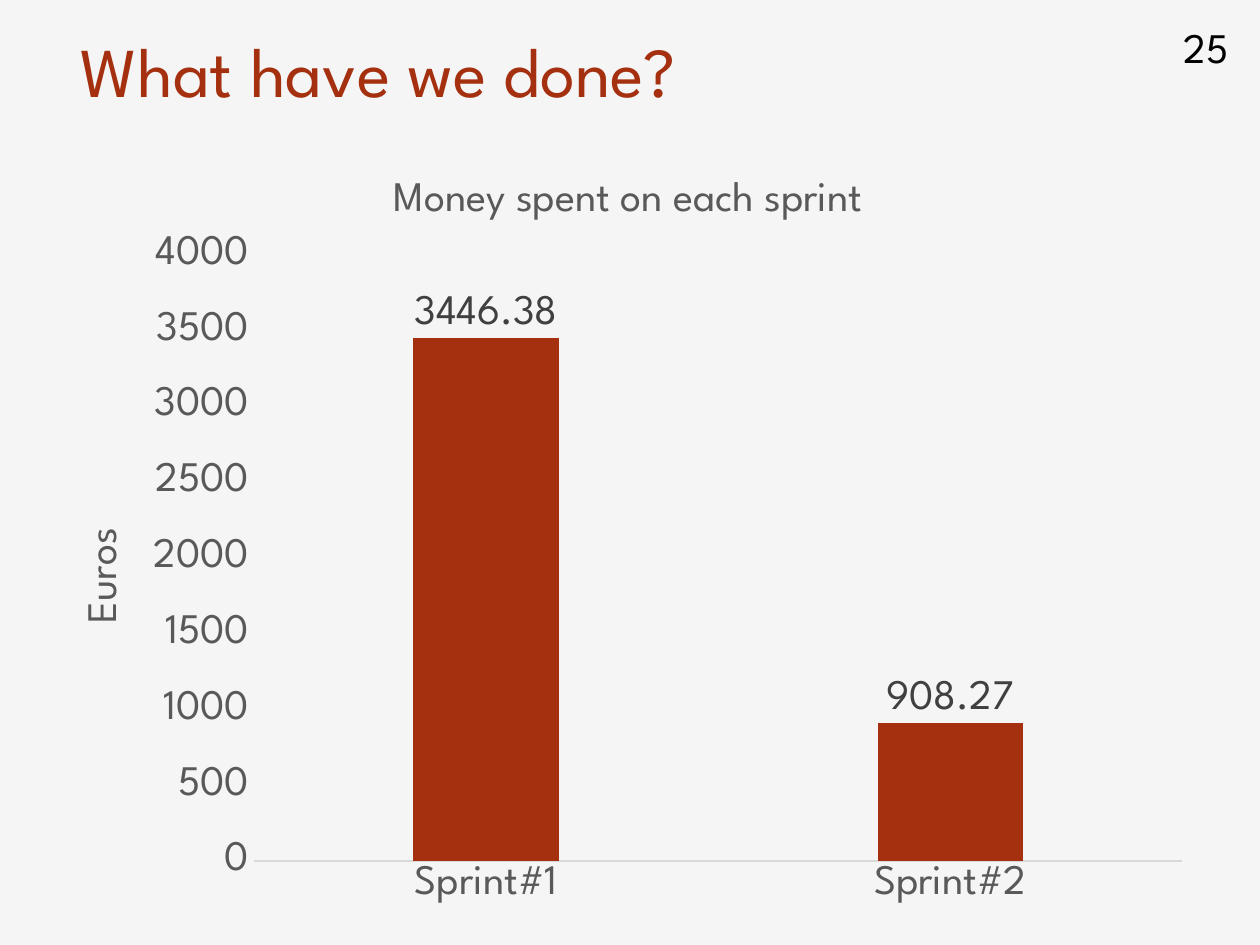
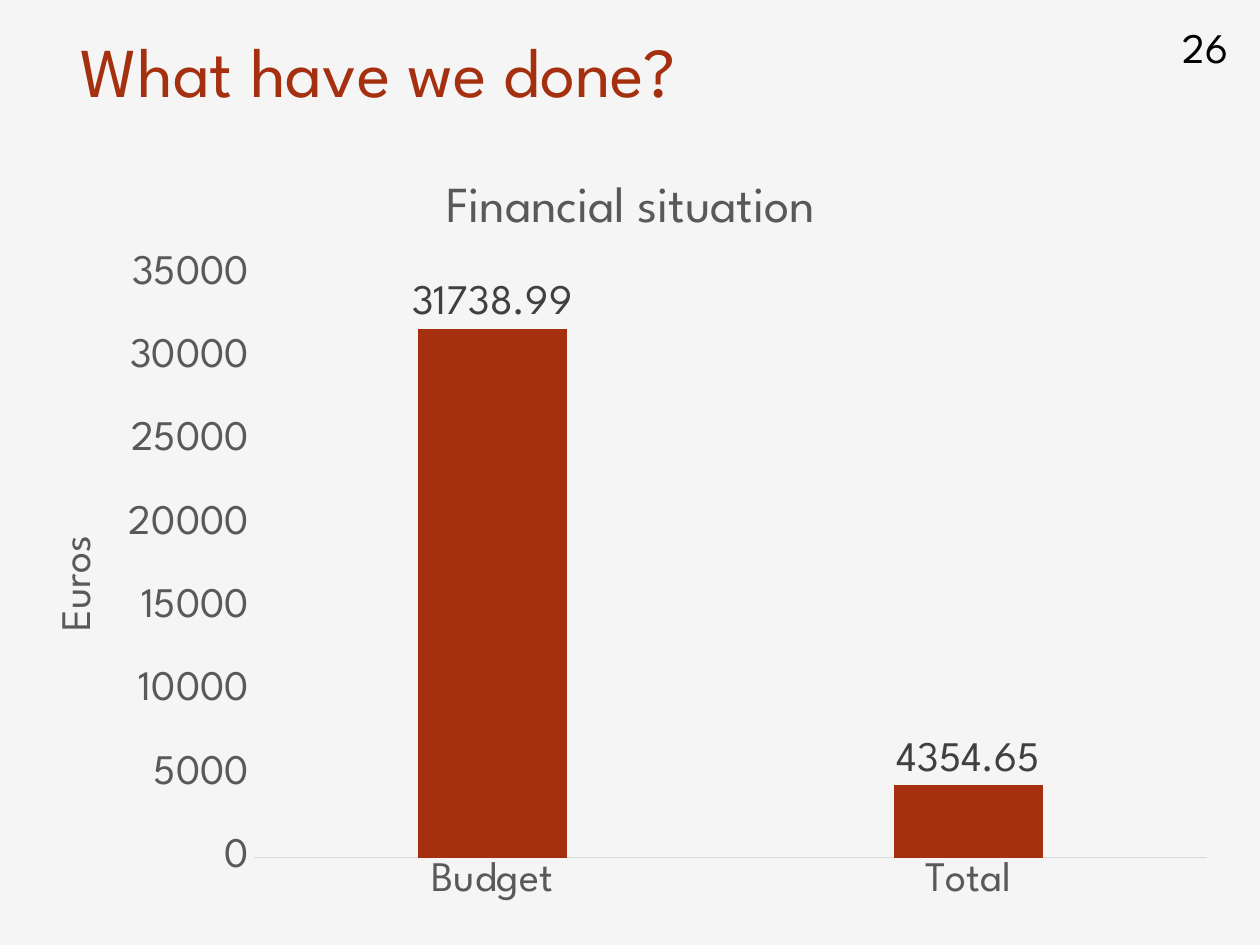
from dataclasses import dataclass

from lxml.etree import SubElement
from pptx import Presentation
from pptx.chart.chart import Chart
from pptx.chart.data import CategoryChartData
from pptx.dml.color import RGBColor
from pptx.enum.chart import XL_CHART_TYPE, XL_LABEL_POSITION, XL_TICK_MARK
from pptx.enum.text import MSO_ANCHOR, PP_ALIGN
from pptx.oxml import parse_xml
from pptx.oxml.ns import nsdecls, qn
from pptx.util import Inches, Pt

# Shared look
FONT = "League Spartan"
PAPER, RUST, BLACK = "F5F5F5", "A53010", "000000"
AXIS_GREY, LABEL_GREY, LINE_GREY = "595959", "404040", "D9D9D9"
BODY_SIZE, TITLE_SIZE = 24, 40
SLIDE_WIDTH, SLIDE_HEIGHT = Inches(10), Inches(7.5)


@dataclass(frozen=True)
class Area:
    """Left, top, width and height as percentages of the surrounding frame."""
    left: float
    top: float
    width: float = 0
    height: float = 0

    def on_slide(self) -> tuple[int, int, int, int]:
        return (int(SLIDE_WIDTH * self.left / 100), int(SLIDE_HEIGHT * self.top / 100),
                int(SLIDE_WIDTH * self.width / 100), int(SLIDE_HEIGHT * self.height / 100))


@dataclass(frozen=True)
class MoneySlide:
    number: int
    heading: str
    heading_size: float
    amounts: dict[str, float]
    axis_top: int
    axis_step: int
    frame: Area
    plot: Area
    heading_spot: Area
    axis_title_spot: Area


TITLE_AREA = Area(5.4, 2.27, 78.8, 10.27)
NUMBER_AREA = Area(88.2, 2.27, 10.3, 5.33)

MONEY_SLIDES = [
    MoneySlide(25, "Money spent on each sprint", BODY_SIZE,
               {"Sprint#1": 3446.38, "Sprint#2": 908.27}, 4000, 500,
               frame=Area(3.5, 15.73, 92.1, 81.6), plot=Area(18.1, 13.7, 80, 78.7),
               heading_spot=Area(29.5, 2.8), axis_title_spot=Area(2.7, 48.2)),
    MoneySlide(26, "Financial situation", 28.8,
               {"Budget": 31738.99, "Total": 4354.65}, 35000, 5000,
               frame=Area(1.5, 14.93, 96.2, 82), plot=Area(19.4, 17.2, 78.6, 75.3),
               heading_spot=Area(34.5, 4), axis_title_spot=Area(2.5, 50)),
]


def color(value: str) -> RGBColor:
    return RGBColor.from_string(value)


def style_font(font, size: float, ink: str) -> None:
    font.name, font.size, font.bold = FONT, Pt(size), False
    font.color.rgb = color(ink)


def add_text(page, area: Area, text: str, size: float, ink: str,
             align=PP_ALIGN.LEFT, anchor=MSO_ANCHOR.TOP) -> None:
    frame = page.shapes.add_textbox(*area.on_slide()).text_frame
    frame.word_wrap = True
    frame.vertical_anchor = anchor
    para = frame.paragraphs[0]
    para.text, para.alignment = text, align
    style_font(para.font, size, ink)


def place(element, area: Area, inner_plot: bool = False) -> None:
    """Give a chart title or the plot area a fixed place in its chart."""
    for old in element.findall(qn("c:layout")):
        element.remove(old)
    layout = parse_xml(f"<c:layout {nsdecls('c')}><c:manualLayout/></c:layout>")
    settings = {"layoutTarget": "inner"} if inner_plot else {}
    settings |= {"xMode": "edge", "yMode": "edge"}
    shares = {"x": area.left, "y": area.top}
    if inner_plot:
        shares |= {"w": area.width, "h": area.height}
    settings |= {tag: f"{share / 100:.4g}" for tag, share in shares.items()}
    for tag, value in settings.items():
        SubElement(layout[0], qn(f"c:{tag}")).set("val", value)
    element.insert(len(element.findall(qn("c:tx"))), layout)


def set_title(title, text: str, size: float, spot: Area) -> None:
    para = title.text_frame.paragraphs[0]
    para.text = text
    style_font(para.font, size, AXIS_GREY)
    place(title._element, spot)


def style_axes(chart: Chart, money: MoneySlide) -> None:
    for axis in (chart.category_axis, chart.value_axis):
        axis.major_tick_mark = axis.minor_tick_mark = XL_TICK_MARK.NONE
        axis.has_major_gridlines = False
        style_font(axis.tick_labels.font, BODY_SIZE, AXIS_GREY)
    line = chart.category_axis.format.line
    line.color.rgb, line.width = color(LINE_GREY), Pt(0.75)
    values = chart.value_axis
    values.format.line.fill.background()
    values.minimum_scale, values.maximum_scale = 0, money.axis_top
    values.major_unit = money.axis_step
    set_title(values.axis_title, "Euros", BODY_SIZE, money.axis_title_spot)


def style_columns(chart: Chart) -> None:
    plot = chart.plots[0]
    plot.gap_width, plot.overlap, plot.vary_by_categories = 219, -27, False
    series = plot.series[0]
    series.format.fill.solid()
    series.format.fill.fore_color.rgb = color(RUST)
    labels = series.data_labels
    labels.show_value, labels.position = True, XL_LABEL_POSITION.OUTSIDE_END
    style_font(labels.font, BODY_SIZE, LABEL_GREY)


def add_money_chart(page, money: MoneySlide) -> None:
    data = CategoryChartData()
    data.categories = list(money.amounts)
    data.add_series("Series 1", list(money.amounts.values()))
    chart = page.shapes.add_chart(
        XL_CHART_TYPE.COLUMN_CLUSTERED, *money.frame.on_slide(), data).chart
    style_font(chart.font, BODY_SIZE, BLACK)
    chart.has_legend = False
    chart.has_title = True
    set_title(chart.chart_title, money.heading, money.heading_size, money.heading_spot)
    style_axes(chart, money)
    style_columns(chart)
    # Fixed plot area on a clear background
    body = chart._chartSpace.find(qn("c:chart"))
    place(body.find(qn("c:plotArea")), money.plot, inner_plot=True)
    body.addnext(parse_xml(
        f"<c:spPr {nsdecls('c', 'a')}><a:noFill/><a:ln><a:noFill/></a:ln></c:spPr>"))


def add_money_slide(deck, money: MoneySlide) -> None:
    page = deck.slides.add_slide(deck.slide_layouts[6])
    page.background.fill.solid()
    page.background.fill.fore_color.rgb = color(PAPER)
    add_text(page, TITLE_AREA, "What have we done?", TITLE_SIZE, RUST)
    add_text(page, NUMBER_AREA, str(money.number), BODY_SIZE, BLACK,
             PP_ALIGN.RIGHT, MSO_ANCHOR.MIDDLE)
    add_money_chart(page, money)


def main() -> None:
    deck = Presentation()
    deck.slide_width, deck.slide_height = SLIDE_WIDTH, SLIDE_HEIGHT
    for money in MONEY_SLIDES:
        add_money_slide(deck, money)
    deck.save("out.pptx")


if __name__ == "__main__":
    main()
